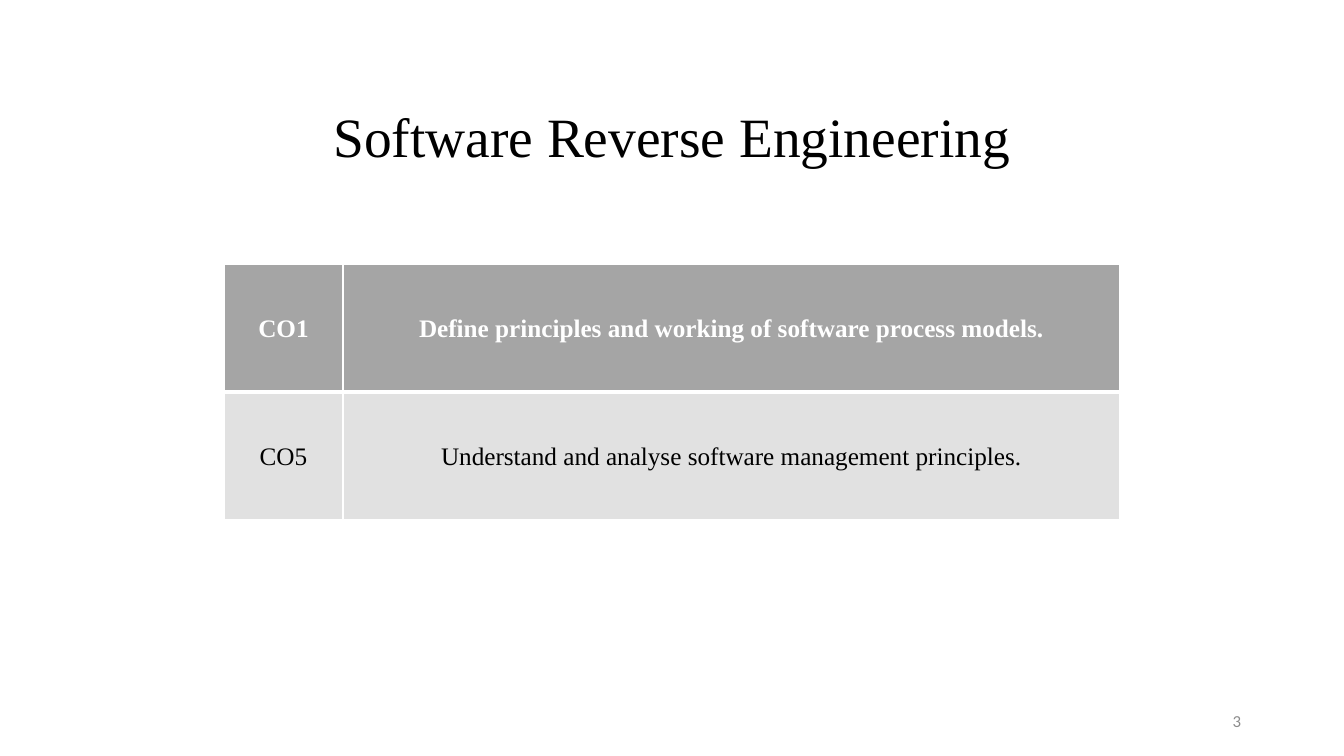
from lxml import etree
from pptx import Presentation, util as u
from pptx.dml.color import RGBColor
from pptx.enum import text
from pptx.oxml import ns

COLORS = {
    "black": "000000",
    "white": "FFFFFF",
    "number": "8C8C8C",
    "header": "A5A5A5",
    "body": "E1E1E1",
}
SERIF = "Times New Roman"
OUTCOMES = [
    ("CO1", "Define principles and working of software process models."),
    ("CO5", "Understand and analyse software management principles."),
]


def px(length):
    return u.Emu(round(length * 914400 / 100.8))


def write(frame, words, size=18, font=SERIF, color="black", bold=False,
          align=text.PP_ALIGN.CENTER, spacing=1.0, after=0):
    frame.word_wrap = True
    paragraph = frame.paragraphs[0]
    paragraph.alignment = align
    paragraph.line_spacing = spacing
    paragraph.space_after = u.Pt(after)
    run = paragraph.add_run()
    run.text = words
    run.font.size = u.Pt(size)
    run.font.name = font
    run.font.bold = bold
    run.font.color.rgb = RGBColor.from_string(COLORS[color])


class SlideBuilder:
    def __init__(self, deck):
        self.slide = deck.slides.add_slide(deck.slide_layouts[6])

    def label(self, box, words, **style):
        frame = self.slide.shapes.add_textbox(*map(px, box)).text_frame
        frame.vertical_anchor = text.MSO_ANCHOR.MIDDLE
        write(frame, words, **style)

    def border(self, cell, widths):
        props = cell._tc.get_or_add_tcPr()
        for index, (side, width) in enumerate(zip("LRTB", widths)):
            line = etree.Element(ns.qn(f"a:ln{side}"), w=str(u.Pt(width)))
            fill = etree.SubElement(line, ns.qn("a:solidFill"))
            etree.SubElement(fill, ns.qn("a:srgbClr"), val=COLORS["white"])
            props.insert(index, line)

    def table(self, box, column_widths, rows):
        grid = self.slide.shapes.add_table(
            len(rows), len(column_widths), *map(px, box)).table
        for column, width in zip(grid.columns, column_widths):
            column.width = px(width)
        for row_index, row in enumerate(rows):
            header = row_index == 0
            for column_index, words in enumerate(row):
                cell = grid.cell(row_index, column_index)
                cell.fill.solid()
                cell.fill.fore_color.rgb = RGBColor.from_string(
                    COLORS["header" if header else "body"])
                cell.vertical_anchor = text.MSO_ANCHOR.MIDDLE
                cell.margin_left = cell.margin_right = px(7)
                cell.margin_top = cell.margin_bottom = 0
                write(cell.text_frame, words, bold=header, spacing=1.07, after=8,
                      color="white" if header else "black")
                self.border(cell, (1, 1, 1, 3) if header else (1, 1, 3, 1))


def main():
    deck = Presentation()
    deck.slide_width, deck.slide_height = px(1344), px(756)
    builder = SlideBuilder(deck)
    builder.label((93, 98, 1158, 84), "Software Reverse Engineering",
                  size=39.6, spacing=0.9)
    builder.label((949, 701, 302, 40), "3", size=12, font="Calibri",
                  color="number", align=text.PP_ALIGN.RIGHT)
    builder.table((224, 264, 896, 256), (119, 777), OUTCOMES)
    deck.save("out.pptx")


if __name__ == "__main__":
    main()
